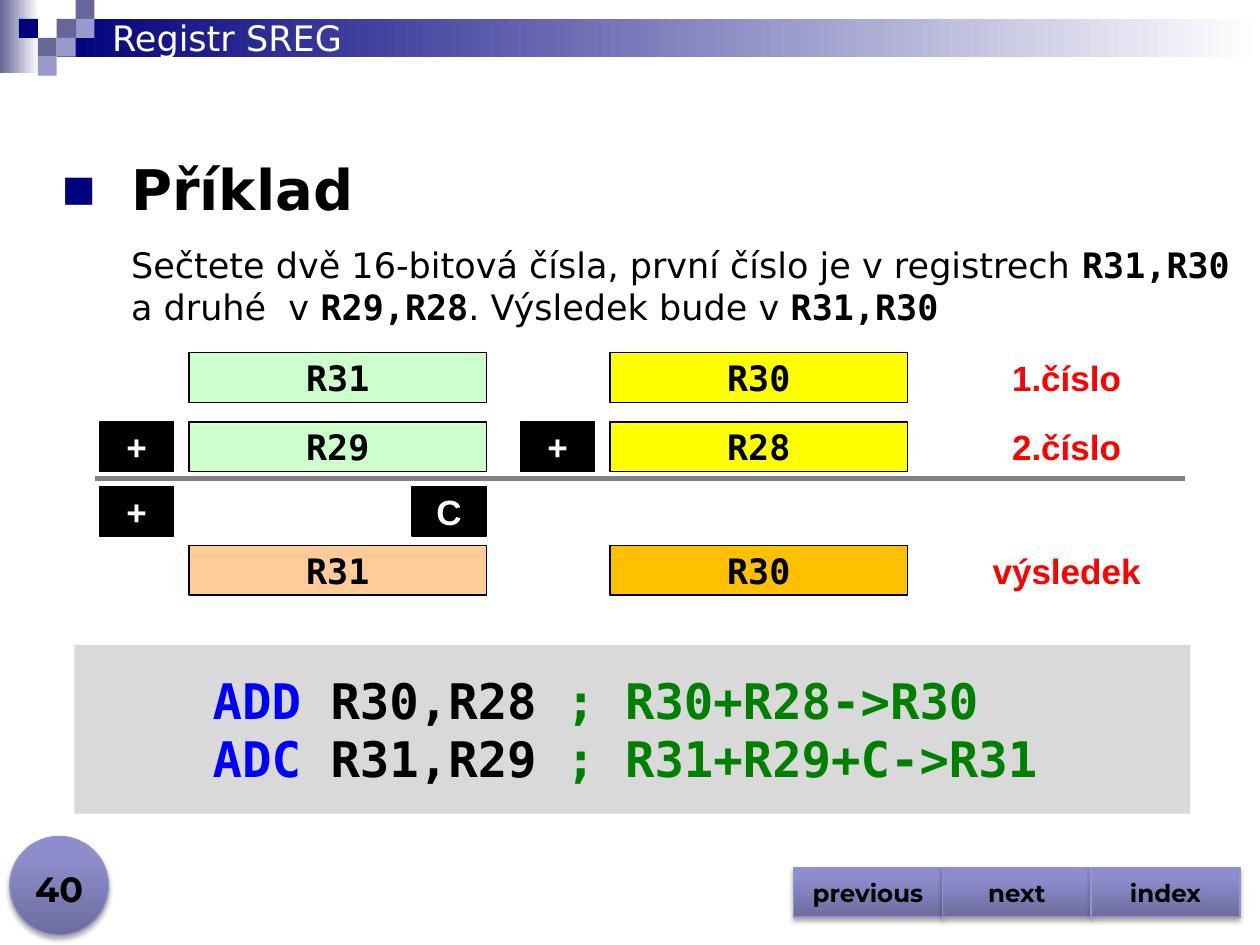
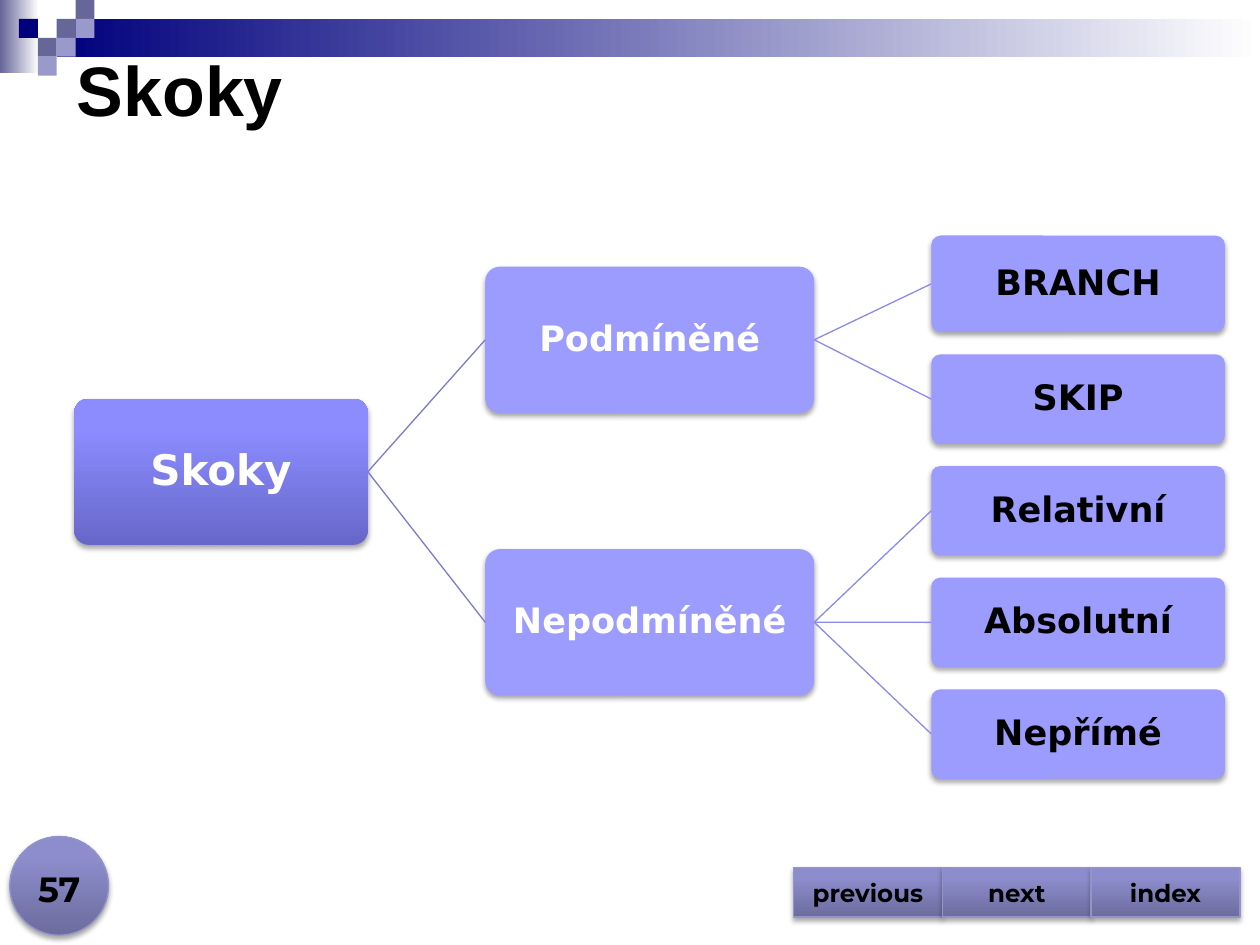
from lxml import etree
from pptx import Presentation
from pptx.dml.color import RGBColor
from pptx.enum import shapes, text
from pptx.oxml.ns import qn
from pptx.util import Pt

SANS, MONO, ARIAL, BUTTON = "DejaVu Sans", "DejaVu Sans Mono", "Arial", "Montserrat"
BLACK, WHITE, RED, GREY = "000000", "FFFFFF", "FF0000", "808080"
NAVY, SLATE, LILAC = "00007D", "666699", "9999CC"
BUTTON_STOPS = [(0, "6C6C9E"), (80, "8D8DCD"), (100, "8C8CCF")]
ROOT_STOPS = [(0, "6767CA"), (80, "8C8CFF"), (100, "8E8EFF")]
NODE_FILL = "9C9CFF"
SHAPE = shapes.MSO_SHAPE
MIDDLE, BOTTOM, TOP = (text.MSO_ANCHOR.MIDDLE, text.MSO_ANCHOR.BOTTOM,
                       text.MSO_ANCHOR.TOP)
CENTER, LEFT = text.PP_ALIGN.CENTER, text.PP_ALIGN.LEFT


def rgb(color):
    return RGBColor.from_string(color)


def sub(parent, tag, **attrs):
    return etree.SubElement(parent, qn(tag), {k: str(v) for k, v in attrs.items()})


def add_run(p, content, size=20, font=SANS, color=BLACK, bold=False):
    r = p.add_run()
    r.text = content
    r.font.size, r.font.name, r.font.bold = Pt(size), font, bold
    r.font.color.rgb = rgb(color)


def indent(p, left, hanging=0):
    pPr = p._p.get_or_add_pPr()
    pPr.set("marL", str(Pt(left)))
    pPr.set("indent", str(-Pt(hanging)))
    return pPr


def gradient(sp, stops, angle):
    """Fill with (percent, colour) stops; the angle runs clockwise."""
    sp.fill.gradient()
    fill = sp._element.spPr.find(qn("a:gradFill"))
    stop_list = fill.find(qn("a:gsLst"))
    for old in list(stop_list):
        stop_list.remove(old)
    for percent, color in stops:
        sub(sub(stop_list, "a:gs", pos=percent * 1000), "a:srgbClr", val=color)
    fill.find(qn("a:lin")).set("ang", str(angle * 60000))


def drop_shadow(sp):
    effects = sp._element.spPr.find(qn("a:effectLst"))
    shadow = sub(effects, "a:outerShdw", blurRad=Pt(3.1), dist=Pt(1.8),
                 dir=90 * 60000, algn="ctr", rotWithShape=0)
    sub(sub(shadow, "a:srgbClr", val=BLACK), "a:alpha", val=35000)


class Deck:
    def __init__(self):
        self.prs = Presentation()
        self.prs.slide_width, self.prs.slide_height = Pt(720), Pt(540)
        self.s = None

    def new_slide(self, title, at, number, **fmt):
        self.s = self.prs.slides.add_slide(self.prs.slide_layouts[5])
        self.header()
        self.title(title, at, **fmt)
        self.footer(number)

    def title(self, content, at, **fmt):
        sp = self.s.shapes.title
        self.s.shapes._spTree.append(sp._element)
        sp.left, sp.top, sp.width, sp.height = map(Pt, at)
        tf = sp.text_frame
        tf.auto_size, tf.vertical_anchor = text.MSO_AUTO_SIZE.NONE, MIDDLE
        tf.paragraphs[0].alignment = LEFT
        add_run(tf.paragraphs[0], content, **fmt)

    def shape(self, at, fill, kind=SHAPE.RECTANGLE, angle=0, line=None, shadow=False):
        """Draw a shape; fill is a colour or a list of gradient stops."""
        sp = self.s.shapes.add_shape(kind, *map(Pt, at))
        sp.shadow.inherit = False
        if isinstance(fill, str):
            sp.fill.solid()
            sp.fill.fore_color.rgb = rgb(fill)
        else:
            gradient(sp, fill, angle)
        if line:
            sp.line.color.rgb = rgb(line)
            sp.line.width = Pt(0.75)
        else:
            sp.line.fill.background()
        if shadow:
            drop_shadow(sp)
        return sp

    def label(self, sp, content, wrap=True, spacing=None, **fmt):
        """Centre one line of text in a shape."""
        tf = sp.text_frame
        tf.word_wrap, tf.vertical_anchor = wrap, MIDDLE
        p = tf.paragraphs[0]
        p.alignment = CENTER
        if spacing:
            p.line_spacing = spacing
        add_run(p, content, **fmt)

    def text_box(self, at, anchor=TOP):
        tf = self.s.shapes.add_textbox(*map(Pt, at)).text_frame
        tf.word_wrap, tf.vertical_anchor = True, anchor
        return tf

    def line(self, color, width, start=(0, 0), end=(0, 0), link=None):
        """Draw a line between two points, or from one linked shape's right to another's left."""
        c = self.s.shapes.add_connector(shapes.MSO_CONNECTOR.STRAIGHT,
                                        *map(Pt, (*start, *end)))
        if link:
            c.begin_connect(link[0], 3)
            c.end_connect(link[1], 1)
        c.line.color.rgb, c.line.width = rgb(color), Pt(width)
        sub(c._element.spPr, "a:effectLst")

    def header(self):
        side = 10.8
        self.shape((0, 0, 22.3, 41.8), [(0, SLATE), (100, WHITE)])
        self.shape((32.4, side, 687.6, 21.6), [(0, NAVY), (100, WHITE)])
        squares = {SLATE: [(4, 0), (3, 1), (2, 2)],
                   LILAC: [(4, 1), (3, 2), (2, 3)], NAVY: [(1, 1)]}
        for color, cells in squares.items():
            for col, row in cells:
                self.shape((col * side, row * side, side, side), color)

    def footer(self, number):
        look = dict(fill=BUTTON_STOPS, angle=270, line="9494C9", shadow=True)
        for i, name in enumerate(("previous", "next", "index")):
            sp = self.shape((453.5 + i * 85, 495.8, 85, 28.3),
                            kind=SHAPE.ACTION_BUTTON_CUSTOM, **look)
            self.label(sp, name, size=14, font=BUTTON, bold=True)
        self.shape((5.6, 478, 56.4, 56.4), kind=SHAPE.OVAL, **look)
        p = self.text_box((0, 487.4, 67.7, 36), BOTTOM).paragraphs[0]
        p.alignment = CENTER
        add_run(p, str(number), font=BUTTON, bold=True)


def task_text(deck):
    tf = deck.text_box((28.2, 85, 691.8, 106.6))
    p = tf.paragraphs[0]
    pPr = indent(p, 39.6, 39.6)
    p.space_after = Pt(12)
    sub(sub(pPr, "a:buClr"), "a:srgbClr", val=NAVY)
    sub(pPr, "a:buFont", typeface=ARIAL)
    sub(pPr, "a:buChar", char="■")
    add_run(p, "Příklad", size=32, bold=True)

    p = tf.add_paragraph()
    indent(p, 39.6)
    p.space_after = Pt(6)
    for plain, registers in (
            ("Sečtete dvě 16-bitová čísla, první číslo je v registrech ", "R31,R30 "),
            ("a druhé  v ", "R29,R28"), (". Výsledek bude v ", "R31,R30")):
        add_run(p, plain)
        add_run(p, registers, font=MONO, bold=True)


def addition_diagram(deck):
    height, high_x, low_x = 28.3, 108, 348.6
    carry_y = 278
    rows = [(201.6, "R31", "CCFFCC", "R30", "FFFF00", "1.číslo"),
            (241.2, "R29", "CCFFCC", "R28", "FFFF00", "2.číslo"),
            (311.8, "R31", "FFCC99", "R30", "FFC000", "výsledek")]

    def cell(x, y, width, content, fill, line=BLACK, **fmt):
        sp = deck.shape((x, y, width, height), fill, line=line)
        deck.label(sp, content, wrap=False, bold=True, **fmt)

    for y, high, high_fill, low, low_fill, caption in rows:
        cell(high_x, y, 170, high, high_fill, font=MONO)
        cell(low_x, y, 170, low, low_fill, font=MONO)
        cell(552.8, y, 113.4, caption, WHITE, None, font=ARIAL, color=RED)
    for x, y, sign in ((56.8, rows[1][0], "+"), (297.4, rows[1][0], "+"),
                       (56.8, carry_y, "+"), (235.4, carry_y, "C")):
        cell(x, y, 42.5, sign, BLACK, font=ARIAL, color=WHITE)
    deck.line(GREY, 3, (54, 273.5), (677.2, 273.5))


def code_panel(deck):
    tf = deck.shape((42.5, 368.5, 637.8, 96.4), "D9D9D9").text_frame
    tf.word_wrap, tf.vertical_anchor = True, TOP
    tf.margin_top = tf.margin_bottom = Pt(14.4)
    code = [("ADD ", "R30,R28 ", "; R30+R28->R30"),
            ("ADC ", "R31,R29 ", "; R31+R29+C->R31")]
    for i, parts in enumerate(code):
        p = tf.add_paragraph() if i else tf.paragraphs[0]
        p.alignment = LEFT
        indent(p, 72)
        for part, color in zip(parts, ("0000FF", BLACK, "008000")):
            add_run(p, part, size=28, font=MONO, color=color, bold=True)


def jump_tree(deck):
    node_h, gap, leaf_y = 83.6, 12.7, 134.6
    branches = [("Podmíněné", 152.4, [("BRANCH", 55.2), ("SKIP", 51.1)]),
                ("Nepodmíněné", 313.8, [("Relativní", 51.1), ("Absolutní", 51.1),
                                        ("Nepřímé", 51.1)])]

    def node(content, at, fill=NODE_FILL, color=WHITE, size=20):
        sp = deck.shape(at, fill, SHAPE.ROUNDED_RECTANGLE, 270, shadow=True)
        sp.adjustments[0] = 0.1
        tf = sp.text_frame
        tf.margin_left = tf.margin_right = tf.margin_top = tf.margin_bottom = Pt(1)
        deck.label(sp, content, spacing=0.9, size=size, color=color, bold=True)
        return sp

    root = node("Skoky", (42.4, 227.8, 167.8, node_h), ROOT_STOPS, size=24)
    for name, y, leaves in branches:
        branch = node(name, (277.3, y, 188, node_h))
        deck.line("7B7BCC", 0.75, link=(root, branch))
        for leaf_name, leaf_h in leaves:
            leaf = node(leaf_name, (532.2, leaf_y, 167.8, leaf_h), color=BLACK)
            deck.line("8B8BE7", 0.75, link=(branch, leaf))
            leaf_y += leaf_h + gap


def main():
    deck = Deck()
    deck.new_slide("Registr SREG", (56.9, 5.8, 612, 31.7), 40, color=WHITE)
    code_panel(deck)
    task_text(deck)
    addition_diagram(deck)

    deck.new_slide("Skoky", (36.7, 22.3, 683.3, 56.9), 57,
                   size=40, font=ARIAL, bold=True)
    jump_tree(deck)
    deck.prs.save("out.pptx")


if __name__ == "__main__":
    main()
